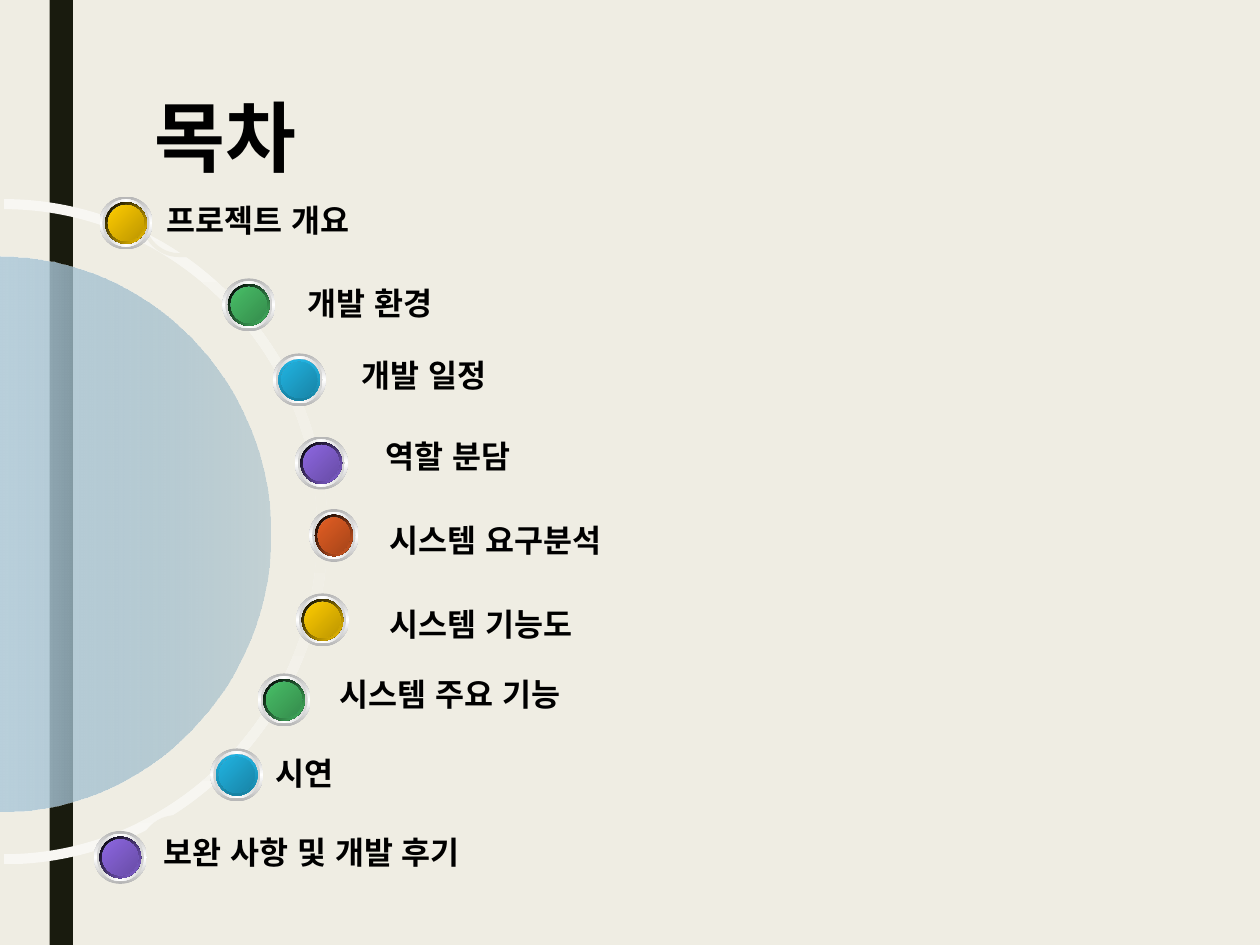
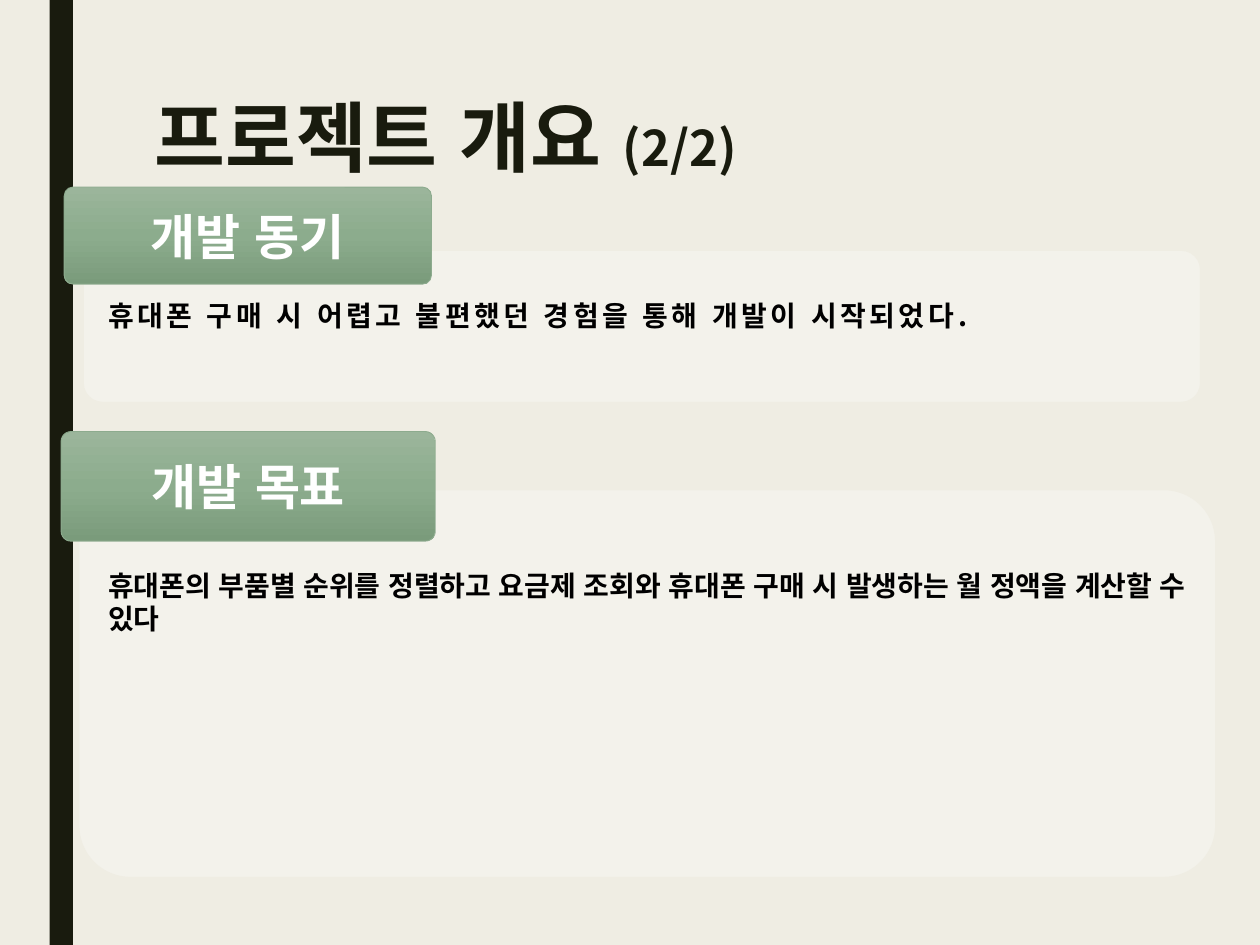
from dataclasses import dataclass

from lxml.etree import SubElement
from pptx import Presentation
from pptx.dml.color import RGBColor
from pptx.enum.lang import MSO_LANGUAGE_ID
from pptx.enum.shapes import MSO_SHAPE
from pptx.enum.text import MSO_ANCHOR, MSO_AUTO_SIZE, PP_ALIGN
from pptx.oxml.ns import qn
from pptx.util import Inches, Pt


@dataclass(frozen=True)
class Theme:
    font: str = "Noto Sans CJK KR"
    background: str = "EFEDE3"
    ink: str = "191B0E"
    black: str = "000000"
    white: str = "FFFFFF"
    arc: str = "F8F7F3"
    blue: str = "77A2BB"
    pale_blue: str = "B4CDDB"
    yellow: str = "FFCC00"
    green: str = "48BE67"
    cyan: str = "21B3E1"
    purple: str = "8D67E1"
    orange: str = "E35E23"
    tag_fill: tuple = ("9BB59B", "8CAC8D", "7A9B7B")
    tag_line: str = "8DAB8E"
    title_size: int = 44
    heading_size: int = 28
    label_size: int = 18
    body_size: int = 16


THEME = Theme()
COLUMNS, ROWS = 100, 75  # square cells over the whole slide
CELL = Inches(0.1)
BUTTON_HEIGHT = 4.2
ELLIPSE_HANDLE = 0.55  # control point distance for a quarter ellipse

# text, label left and top, button left, top and width, button colour
CONTENTS = [
    ("프로젝트 개요", 11.4, 14.65, 7.9, 15.6, 4.2, THEME.yellow),
    ("개발 환경", 22.6, 21.25, 17.65, 22.1, 4.2, THEME.green),
    ("개발 일정", 26.9, 26.95, 21.65, 28.05, 4.2, THEME.cyan),
    ("역할 분담", 28.8, 33.4, 23.4, 34.65, 4.2, THEME.purple),
    ("시스템 요구분석", 29.1, 40.05, 24.55, 40.4, 3.9, THEME.orange),
    ("시스템 기능도", 29.1, 46.7, 23.5, 47.1, 4.2, THEME.yellow),
    ("시스템 주요 기능", 25.15, 52.3, 20.45, 53.45, 4.2, THEME.green),
    ("시연", 20.1, 58.55, 16.7, 59.4, 4.2, THEME.cyan),
    ("보완 사항 및 개발 후기", 11.2, 64.85, 7.45, 65.95, 4.2, THEME.purple),
]


def cells(*lengths):
    return [round(length * CELL) for length in lengths]


def fill_solid(shape, color, opacity=100):
    shape.fill.solid()
    shape.fill.fore_color.rgb = RGBColor.from_string(color)
    if opacity < 100:
        color_element = shape._element.spPr.find(qn("a:solidFill"))[0]
        SubElement(color_element, qn("a:alpha"), val=str(opacity * 1000))


def fill_gradient(shape, colors, angle, opacities=None):
    """Spread the colours evenly; a colour may be a (colour, shade percent) pair."""
    shape.fill.gradient()
    gradient = shape._element.spPr.find(qn("a:gradFill"))
    for child in list(gradient):
        gradient.remove(child)
    stops = SubElement(gradient, qn("a:gsLst"))
    for index, entry in enumerate(colors):
        color, shade = (entry, None) if isinstance(entry, str) else entry
        position = round(100000 * index / (len(colors) - 1))
        stop = SubElement(stops, qn("a:gs"), pos=str(position))
        color_element = SubElement(stop, qn("a:srgbClr"), val=color)
        if shade:
            SubElement(color_element, qn("a:shade"), val=str(shade * 1000))
        if opacities:
            SubElement(color_element, qn("a:alpha"), val=str(opacities[index] * 1000))
    SubElement(gradient, qn("a:lin"), ang=str(angle * 60000), scaled="0")


def set_outline(shape, color=None, width=0):
    shape.shadow.inherit = False
    if color is None:
        shape.line.fill.background()
    else:
        shape.line.color.rgb = RGBColor.from_string(color)
        shape.line.width = Pt(width)


def style_paragraph(paragraph, size, color, align=PP_ALIGN.LEFT, spacing=0):
    paragraph.alignment = align
    font = paragraph.font
    font.size, font.bold, font.name = Pt(size), True, THEME.font
    font.color.rgb = RGBColor.from_string(color)
    font.language_id = MSO_LANGUAGE_ID.KOREAN
    properties = font._element
    SubElement(properties, qn("a:ea"), typeface=THEME.font)
    properties.set("kern", "0")
    if spacing:
        properties.set("spc", str(spacing * 100))


def add_box(shapes, kind, left, top, width, height, corner=None):
    shape = shapes.add_shape(kind, *cells(left, top, width, height))
    if corner is not None:
        shape.adjustments[0] = corner
    set_outline(shape)
    return shape


def write_inside(shape, text, size, color, align=PP_ALIGN.LEFT):
    frame = shape.text_frame
    frame.word_wrap = False
    frame.vertical_anchor = MSO_ANCHOR.MIDDLE
    frame.text = text
    style_paragraph(frame.paragraphs[0], size, color, align)


def start_slide(presentation, title, color, page=None):
    slide = presentation.slides.add_slide(presentation.slide_layouts[5])
    bar = add_box(slide.shapes, MSO_SHAPE.RECTANGLE, 3.95, 0, 1.85, ROWS)
    fill_solid(bar, THEME.ink)
    placeholder = slide.shapes.title
    placeholder.left, placeholder.top, placeholder.width, placeholder.height = cells(
        11.25, 7.5, 78.75, 16.2)
    frame = placeholder.text_frame
    frame.auto_size = MSO_AUTO_SIZE.NONE
    frame.vertical_anchor = MSO_ANCHOR.TOP
    paragraph = frame.paragraphs[0]
    paragraph.line_spacing = 0.89
    style_paragraph(paragraph, THEME.title_size, color)
    paragraph.add_run().text = title
    if page:
        run = paragraph.add_run()
        run.text = page
        run.font.size = Pt(THEME.heading_size)
    return slide


def half_ellipse(left, middle, radius_x, radius_y):
    """Two cubic curves from top to bottom: anchors with two handles between them."""
    handle_x, handle_y = radius_x * ELLIPSE_HANDLE, radius_y * ELLIPSE_HANDLE
    right, top, bottom = left + radius_x, middle - radius_y, middle + radius_y
    return [(left, top), (left + handle_x, top), (right, middle - handle_y),
            (right, middle), (right, middle + handle_y), (left + handle_x, bottom),
            (left, bottom)]


def add_curved_shape(slide, *curves):
    """Join the curves by straight lines and close the outline."""
    points = [cells(*point) for curve in curves for point in curve[::3]]
    builder = slide.shapes.build_freeform(*points[0])
    builder.add_line_segments(points[1:], close=True)
    shape = builder.convert_to_shape()
    lines = iter(list(shape._element.iter(qn("a:lnTo"))))
    for number, curve in enumerate(curves):
        if number:
            next(lines)
        for start in range(1, len(curve), 3):
            line = next(lines)
            line.tag = qn("a:cubicBezTo")
            for order, handle in enumerate(curve[start:start + 2]):
                x, y = cells(*handle)
                point = SubElement(line, qn("a:pt"), x=str(x - shape.left),
                                   y=str(y - shape.top))
                line.insert(order, point)
    set_outline(shape)
    return shape


def add_dial(slide):
    outer = half_ellipse(0.3, 42.2, 25.7, 26.4)
    inner = half_ellipse(0.3, 42.2, 24.9, 25.6)
    arc = add_curved_shape(slide, outer, inner[::-1])
    fill_gradient(arc, (THEME.arc, THEME.background, THEME.arc), 90)
    disc = add_curved_shape(slide, half_ellipse(0, 42.4, 21.5, 22))
    fill_gradient(disc, (THEME.pale_blue, THEME.blue), 0, (92, 36))


def add_label(slide, text, left, top):
    label = add_box(slide.shapes, MSO_SHAPE.ROUNDED_RECTANGLE, left, top, 48.3, 5.6, 0.5)
    label.fill.background()
    set_outline(label, THEME.background, 2.25)
    write_inside(label, text, THEME.label_size, THEME.black)


def add_button(slide, left, top, width, color):
    if color == THEME.cyan:
        rim, rim_angle = (color, (color, 48)), 90
    else:
        rim, rim_angle = (THEME.black, color), 45
    ring, inner_ring, deep_blue = (THEME.white, 46), (THEME.white, 64), (THEME.blue, 57)
    layers = [
        (0, (ring, THEME.white, ring), 90),
        (0.23, (inner_ring, THEME.white, inner_ring), 0),
        (0.45, (THEME.white, THEME.blue, THEME.white), 45),
        (0.45, rim, rim_angle),
        (0.67, (deep_blue, THEME.blue, deep_blue), 315),
        (0.67, (color, (color, 50)), 45),
    ]
    group = slide.shapes.add_group_shape()
    for inset, layer_colors, angle in layers:
        layer = add_box(group.shapes, MSO_SHAPE.OVAL, left + inset, top + inset,
                        width - 2 * inset, BUTTON_HEIGHT - 2 * inset)
        fill_gradient(layer, layer_colors, angle)


def add_panel(slide, left, top, width, height):
    panel = add_box(slide.shapes, MSO_SHAPE.ROUNDED_RECTANGLE,
                    left, top, width, height, 0.137)
    fill_solid(panel, THEME.white, 31)
    set_outline(panel, THEME.background, 3)


def add_tag(slide, text, left, top, width, height):
    tag = add_box(slide.shapes, MSO_SHAPE.ROUNDED_RECTANGLE,
                  left, top, width, height, 0.091)
    fill_gradient(tag, THEME.tag_fill, 90)
    set_outline(tag, THEME.tag_line, 0.5)
    write_inside(tag, text, THEME.heading_size, THEME.white, PP_ALIGN.CENTER)


def add_body(slide, text, left, top, width, height, spacing=0):
    frame = slide.shapes.add_textbox(*cells(left, top, width, height)).text_frame
    frame.word_wrap = True
    frame.auto_size = MSO_AUTO_SIZE.SHAPE_TO_FIT_TEXT
    frame.text = text
    style_paragraph(frame.paragraphs[0], THEME.body_size, THEME.black, spacing=spacing)


def build_contents(presentation):
    slide = start_slide(presentation, "목차", THEME.black)
    add_dial(slide)
    for text, left, top, *_ in CONTENTS:
        add_label(slide, text, left, top)
    for *_, left, top, width, color in CONTENTS:
        add_button(slide, left, top, width, color)


def build_overview(presentation):
    slide = start_slide(presentation, "프로젝트 개요 ", THEME.ink, "(2/2)")
    add_panel(slide, 6.1, 38.7, 90.55, 31.1)
    add_tag(slide, "개발 목표", 4.85, 34.25, 29.7, 8.7)
    add_body(slide, "휴대폰의 부품별 순위를 정렬하고 요금제 조회와 휴대폰 구매 시 "
             "발생하는 월 정액을 계산할 수 있다", 7.6, 44.6, 88.2, 6.4)
    add_panel(slide, 6.45, 19.7, 89, 12.4)
    add_tag(slide, "개발 동기", 5.1, 14.85, 29.15, 7.7)
    add_body(slide, "휴대폰 구매 시 어렵고 불편했던 경험을 통해 개발이 시작되었다.",
             7.6, 23.2, 86.6, 3.7, spacing=2)


def main():
    presentation = Presentation()
    presentation.slide_width, presentation.slide_height = cells(COLUMNS, ROWS)
    fill = presentation.slide_master.background.fill
    fill.solid()
    fill.fore_color.rgb = RGBColor.from_string(THEME.background)
    build_contents(presentation)
    build_overview(presentation)
    presentation.save("out.pptx")


if __name__ == "__main__":
    main()
